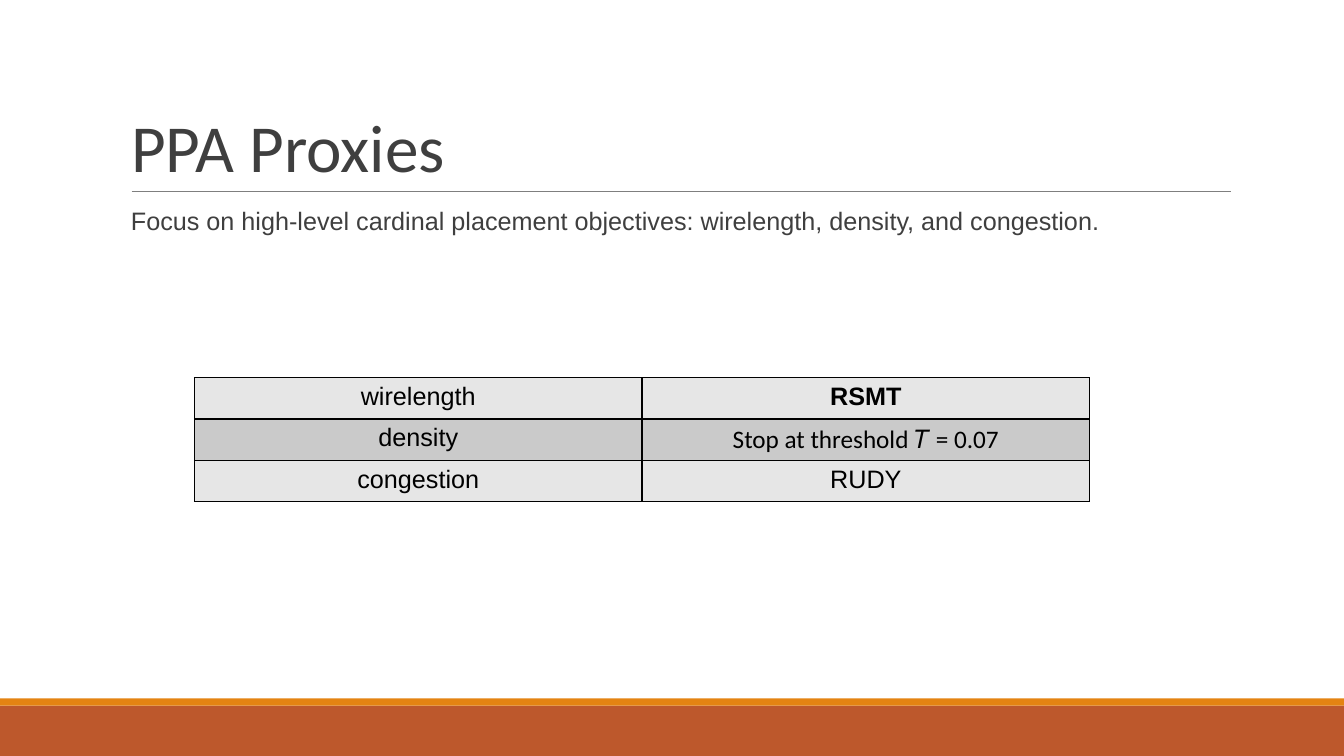
import dataclasses

import pptx
import pptx.dml.color
import pptx.enum.shapes
import pptx.enum.text
import pptx.oxml
import pptx.oxml.ns
import pptx.util

Cm = pptx.util.Cm
Pt = pptx.util.Pt
DARK = "3F3F3F"
BLACK = "000000"


@dataclasses.dataclass
class Band:
    top: float
    height: float
    color: str


@dataclasses.dataclass
class Entry:
    text: str
    font: str = "Arial"
    bold: bool = False


BANDS = [Band(17.78, 1.27, "BD582C"), Band(17.6, 0.18, "E48312")]
PROXIES = [
    [Entry("wirelength"), Entry("RSMT", bold=True)],
    [Entry("density"), Entry("Stop at threshold 𝑇 = 0.07", "Calibri")],
    [Entry("congestion"), Entry("RUDY")],
]
ROW_FILLS = ["E6E6E6", "CACACA"]
COL_WIDTH, ROW_HEIGHT = 11.28, 1.04


def rgb(color: str) -> pptx.dml.color.RGBColor:
    return pptx.dml.color.RGBColor.from_string(color)


def add_run(p, text: str, size: float, font: str, color: str, bold: bool = False) -> None:
    r = p.add_run()
    r.text = text
    r.font.size = Pt(size)
    r.font.name = font
    r.font.bold = bold
    r.font.color.rgb = rgb(color)


def add_band(slide, band: Band, width: int) -> None:
    sp = slide.shapes.add_shape(
        pptx.enum.shapes.MSO_SHAPE.RECTANGLE, 0, Cm(band.top), width, Cm(band.height))
    sp.shadow.inherit = False
    sp.fill.solid()
    sp.fill.fore_color.rgb = rgb(band.color)
    sp.line.fill.background()


def add_rule(slide) -> None:
    line = slide.shapes.add_connector(
        pptx.enum.shapes.MSO_CONNECTOR.STRAIGHT, Cm(3.32), Cm(4.83), Cm(31.01), Cm(4.83))
    line.line.color.rgb = rgb("7F7F7F")
    line.line.width = Pt(0.75)
    spPr = line._element.spPr
    spPr.append(pptx.oxml.parse_xml(f"<a:effectLst {pptx.oxml.ns.nsdecls('a')}/>"))


def set_title(slide, text: str) -> None:
    sp = slide.shapes.title
    sp.left, sp.top, sp.width, sp.height = Cm(3.05), Cm(0.79), Cm(27.94), Cm(4.04)
    tf = sp.text_frame
    tf.vertical_anchor = pptx.enum.text.MSO_ANCHOR.BOTTOM
    p = tf.paragraphs[0]
    p.alignment = pptx.enum.text.PP_ALIGN.LEFT
    p.line_spacing = 0.85
    add_run(p, text, 48, "Calibri", DARK)


def add_body(slide, text: str) -> None:
    tf = slide.shapes.add_textbox(Cm(3.3), Cm(5.13), Cm(27.69), Cm(11.18)).text_frame
    tf.word_wrap = True
    tf.margin_left = tf.margin_right = 0
    p = tf.paragraphs[0]
    p.line_spacing = 0.9
    add_run(p, text, 18, "Arial", DARK)


def fill_cell(cell, entry: Entry, fill: str) -> None:
    tcPr = cell._tc.get_or_add_tcPr()
    for side in "LRTB":
        tcPr.append(pptx.oxml.parse_xml(
            f'<a:ln{side} {pptx.oxml.ns.nsdecls("a")} w="{Pt(1)}"><a:solidFill>'
            f'<a:srgbClr val="{BLACK}"/></a:solidFill></a:ln{side}>'))
    cell.fill.solid()
    cell.fill.fore_color.rgb = rgb(fill)
    p = cell.text_frame.paragraphs[0]
    p.alignment = pptx.enum.text.PP_ALIGN.CENTER
    add_run(p, entry.text, 18, entry.font, BLACK, entry.bold)


def add_proxy_table(slide) -> None:
    rows, cols = len(PROXIES), len(PROXIES[0])
    table = slide.shapes.add_table(
        rows, cols, Cm(4.9), Cm(9.52), Cm(cols * COL_WIDTH), Cm(rows * ROW_HEIGHT)).table
    table.first_row = False
    for i, entries in enumerate(PROXIES):
        for j, entry in enumerate(entries):
            fill_cell(table.cell(i, j), entry, ROW_FILLS[i % 2])


def main() -> None:
    """Build the slide on PPA proxies and save it."""
    prs = pptx.Presentation()
    prs.slide_width, prs.slide_height = Cm(33.87), Cm(19.05)
    slide = prs.slides.add_slide(prs.slide_layouts[5])
    for band in BANDS:
        add_band(slide, band, prs.slide_width)
    add_rule(slide)
    set_title(slide, "PPA Proxies")
    add_body(slide, "Focus on high-level cardinal placement objectives: "
                    "wirelength, density, and congestion.")
    add_proxy_table(slide)
    prs.save("out.pptx")


if __name__ == "__main__":
    main()
